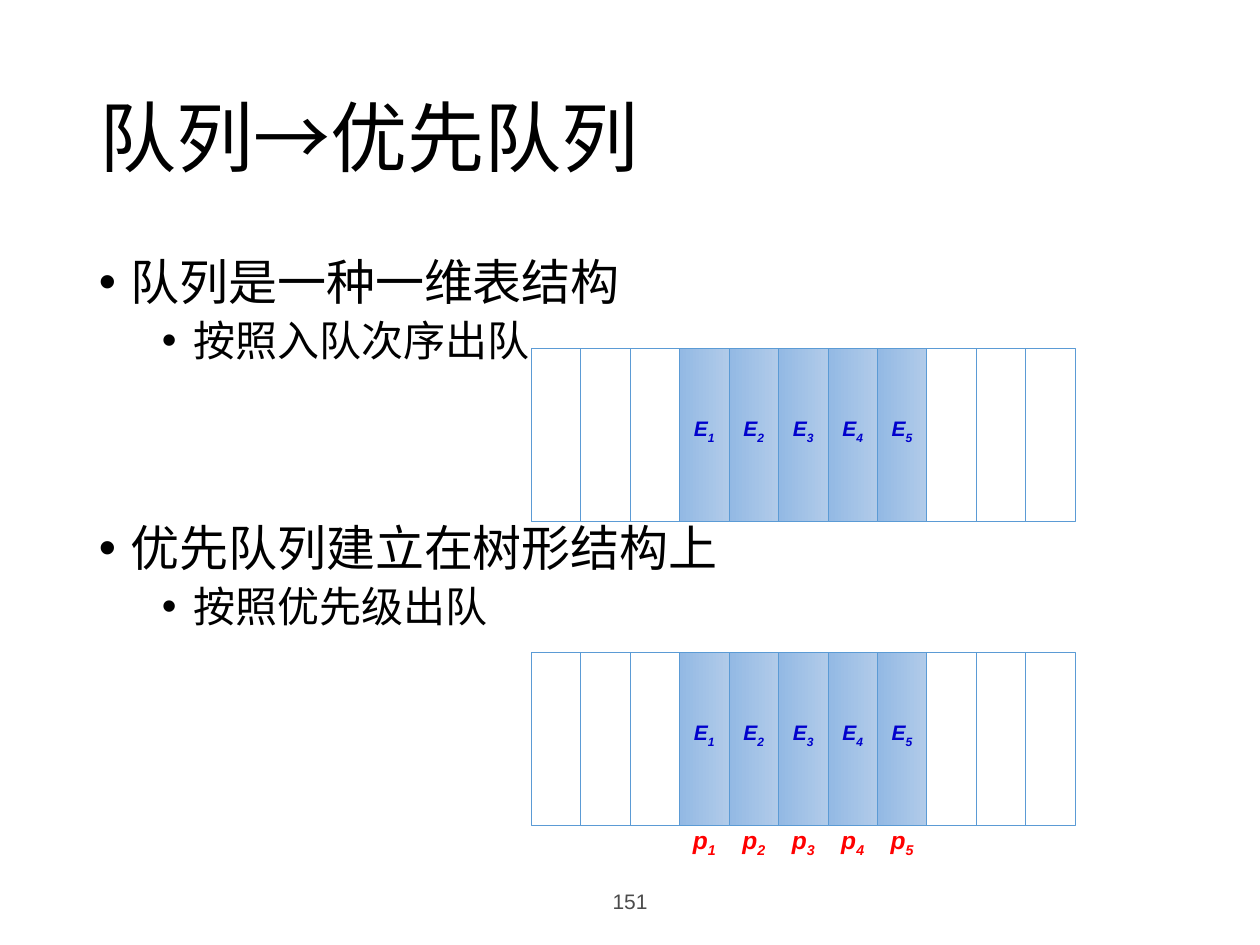
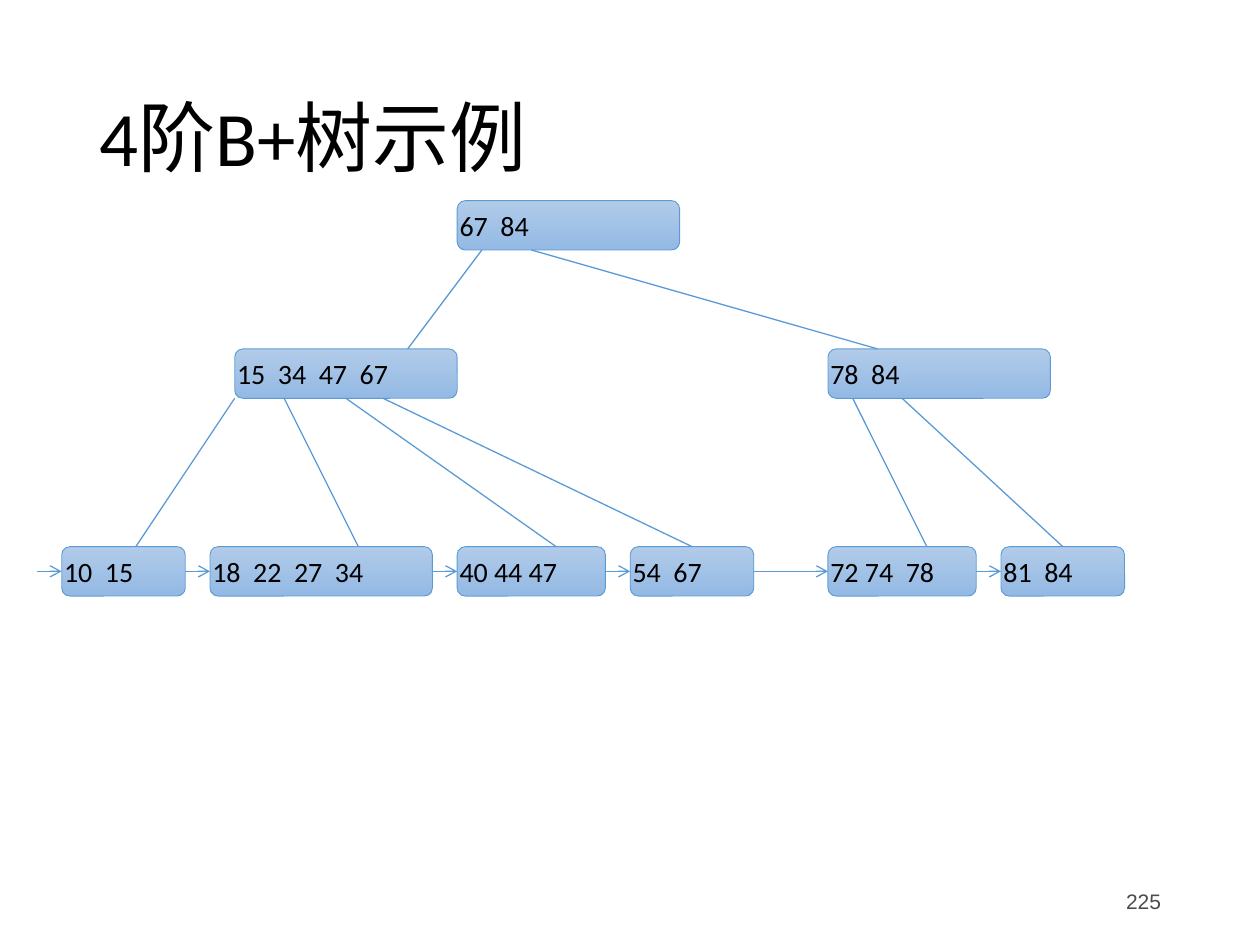
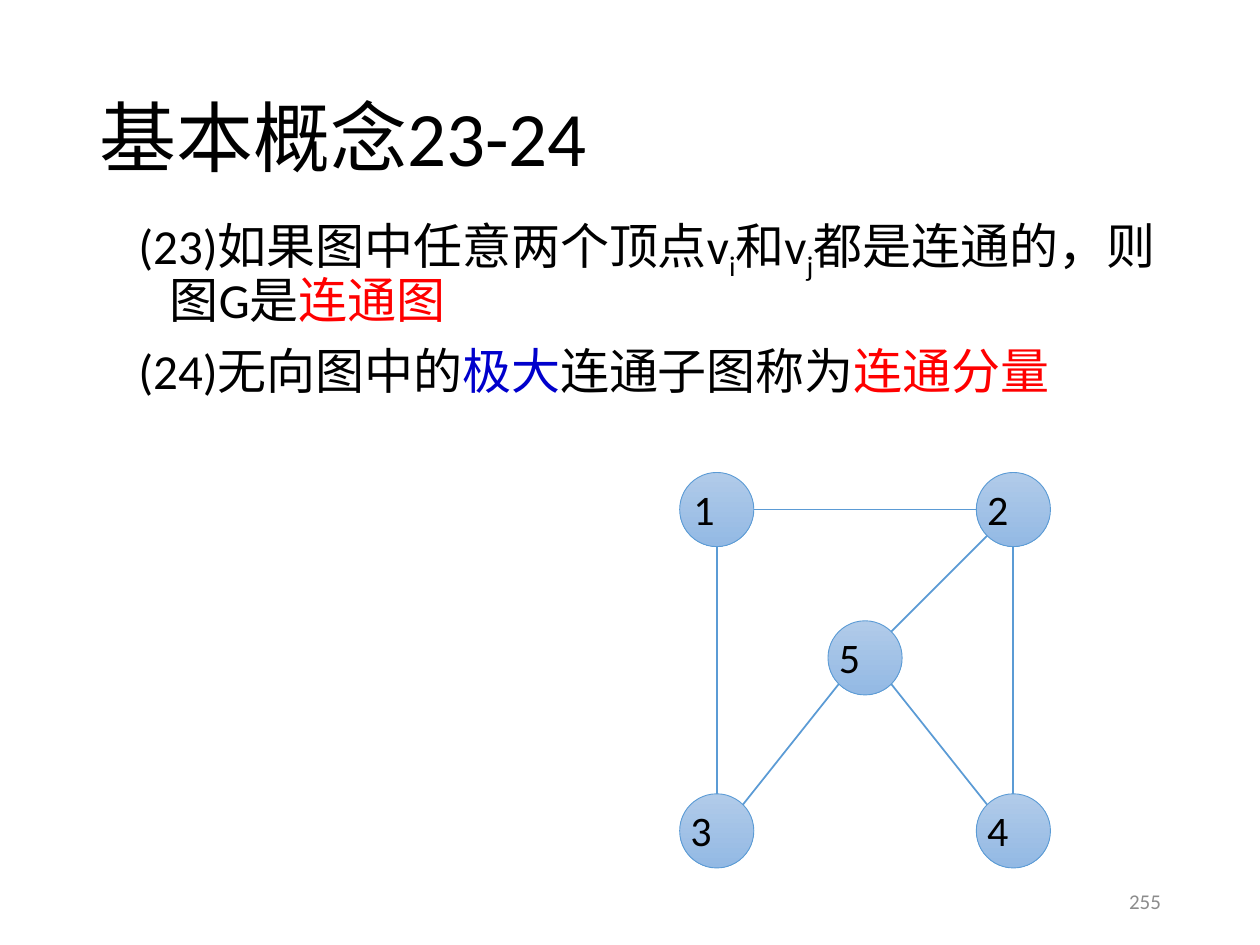
from dataclasses import dataclass
from math import hypot

from lxml import etree
from pptx import Presentation
from pptx.dml.color import RGBColor as Color
from pptx.enum.shapes import MSO_CONNECTOR as Connector, MSO_SHAPE as Preset
from pptx.enum.text import MSO_ANCHOR as Anchor, MSO_AUTO_SIZE as AutoSize, PP_ALIGN as Align
from pptx.oxml.ns import qn
from pptx.util import Pt


@dataclass(frozen=True)
class Theme:
    black: str = "000000"
    red: str = "FF0000"
    blue: str = "0000CC"
    dark_grey: str = "4B4B4B"
    light_grey: str = "8C8C8C"
    outline: str = "5B9BD5"
    gradient: tuple = ("B1CBE9", "93B9E4")
    main_font: str = "Calibri"
    label_font: str = "Arial"
    title: int = 44
    body: int = 28
    sub_body: int = 24
    node: int = 16
    priority: int = 14
    small: int = 12
    line_spacing: float = 0.9
    # Drawings sit on a square grid: one unit, and its origin
    unit: float = 28.25
    left: float = 7
    top: float = 1.6


theme = Theme()


def add_span(para, text, size, color=theme.black, font=theme.main_font, bold=False, lowered=False):
    span = para.add_run()
    span.text = text
    span.font.size = Pt(size)
    span.font.name = font
    span.font.color.rgb = Color.from_string(color)
    if bold:
        span.font.bold = span.font.italic = True
    if lowered:
        span.font._element.set("baseline", "-25000")


def add_block(page, preset, column, row, columns, rows, filled=True):
    block = page.shapes.add_shape(
        preset, Pt(theme.left + column * theme.unit), Pt(theme.top + row * theme.unit),
        Pt(columns * theme.unit), Pt(rows * theme.unit))
    block.shadow.inherit = False
    block.line.color.rgb = Color.from_string(theme.outline)
    block.line.width = Pt(0.5)
    if filled:
        block.fill.gradient()
        block.fill.gradient_angle = 270
        for stop, color in zip(block.fill.gradient_stops, theme.gradient):
            stop.color.rgb = Color.from_string(color)
    else:
        block.fill.background()
    frame = block.text_frame
    frame.word_wrap = True
    frame.margin_left = frame.margin_top = frame.margin_bottom = 0
    frame.margin_right = Pt(14.4)
    frame.paragraphs[0].alignment = Align.LEFT
    return block


deck = Presentation()
deck.slide_width, deck.slide_height = Pt(720), Pt(540)

# Pages with titles and page numbers
headings = [
    ("队列→优先队列", "151", 238.5, 243, Align.CENTER, theme.label_font, theme.dark_grey),
    ("4阶B+树示例", "225", 508.5, 162, Align.RIGHT, theme.label_font, theme.dark_grey),
    ("基本概念23-24", "255", 508.5, 162, Align.RIGHT, theme.main_font, theme.light_grey),
]
pages = []
for heading, number, left, width, align, font, color in headings:
    page = deck.slides.add_slide(deck.slide_layouts[5])
    pages.append(page)
    title = page.shapes.title
    title.left, title.top, title.width, title.height = Pt(49.5), Pt(28.75), Pt(621), Pt(104.5)
    title.text_frame.auto_size = AutoSize.NONE
    title.text_frame.vertical_anchor = Anchor.MIDDLE
    para = title.text_frame.paragraphs[0]
    para.alignment = Align.LEFT
    para.line_spacing = theme.line_spacing
    add_span(para, heading, theme.title)

    box = page.shapes.add_textbox(Pt(left), Pt(500.5), Pt(width), Pt(28.75))
    box.text_frame.word_wrap = True
    box.text_frame.vertical_anchor = Anchor.MIDDLE
    para = box.text_frame.paragraphs[0]
    para.alignment = align
    add_span(para, number, theme.small, color, font)
queue_page, tree_page, graph_page = pages

# Body text: level, bullet, space before, spans of (text, color, lowered)
queue_body = [
    (0, True, 0, [("队列是一种一维表结构", theme.black, False)]),
    (1, True, 5, [("按照入队次序出队", theme.black, False)]),
    (0, True, 91, [("优先队列建立在树形结构上", theme.black, False)]),
    (1, True, 5, [("按照优先级出队", theme.black, False)]),
]
graph_body = [
    (0, False, 0, [
        ("(23)如果图中任意两个顶点v", theme.black, False), ("i", theme.black, True),
        ("和v", theme.black, False), ("j", theme.black, True),
        ("都是连通的，则图G是", theme.black, False), ("连通图", theme.red, False)]),
    (0, False, 10, [
        ("(24)无向图中的", theme.black, False), ("极大", theme.blue, False),
        ("连通子图称为", theme.black, False), ("连通分量", theme.red, False)]),
]
for page, left, top, width, height, body in [
        (queue_page, 49.5, 144, 621, 343, queue_body),
        (graph_page, 72, 120, 598.5, 360, graph_body)]:
    frame = page.shapes.add_textbox(Pt(left), Pt(top), Pt(width), Pt(height)).text_frame
    frame.word_wrap = True
    for index, (level, bullet, space, spans) in enumerate(body):
        para = frame.add_paragraph() if index else frame.paragraphs[0]
        para.level = level
        properties = para._p.get_or_add_pPr()
        properties.set("marL", str(Pt(18 + 36 * level)))
        properties.set("indent", str(Pt(-18)))
        if bullet:
            etree.SubElement(properties, qn("a:buFont")).set("typeface", theme.label_font)
            etree.SubElement(properties, qn("a:buChar")).set("char", "•")
        para.line_spacing = theme.line_spacing
        para.space_before = Pt(space)
        for text, color, lowered in spans:
            add_span(para, text, theme.sub_body if level else theme.body, color, lowered=lowered)

# Queues: upright strips of cells, made of flat cells turned a quarter
first_cell, cell_count, cell_length = 10.5, 11, 3.5
used_cells = range(3, 8)
queue_rows = (7, 13.15)
for row in queue_rows:
    for index in range(cell_count):
        cell = add_block(
            queue_page, Preset.RECTANGLE, first_cell + index + (1 - cell_length) / 2,
            row + (cell_length - 1) / 2, cell_length, 1, index in used_cells)
        cell.rotation = 90

# Element and priority labels
for letter, row, size, color in [
        ("E", queue_rows[0] + 1.23, theme.small, theme.blue),
        ("E", queue_rows[1] + 1.23, theme.small, theme.blue),
        ("p", queue_rows[1] + 3.36, theme.priority, theme.red)]:
    for number, index in enumerate(used_cells, 1):
        box = queue_page.shapes.add_textbox(
            Pt(theme.left + (first_cell + index) * theme.unit),
            Pt(theme.top + row * theme.unit), Pt(theme.unit), Pt(size + 10))
        box.text_frame.word_wrap = True
        box.text_frame.margin_left = box.text_frame.margin_right = 0
        para = box.text_frame.paragraphs[0]
        para.alignment = Align.CENTER
        add_span(para, letter, size, color, theme.label_font, bold=True)
        add_span(para, str(number), size, color, theme.label_font, bold=True, lowered=True)

# B+ tree nodes: keys, column, width
root_row, branch_row, leaf_row = 4, 7, 11
leaves = [
    ("10  15", 1, 2.5), ("18  22  27  34", 4, 4.5), ("40 44 47", 9, 3),
    ("54  67", 12.5, 2.5), ("72 74  78", 16.5, 3), ("81  84", 20, 2.5),
]
levels = [
    (root_row, [("67  84", 9, 4.5)]),
    (branch_row, [("15  34  47  67", 4.5, 4.5), ("78  84", 16.5, 4.5)]),
    (leaf_row, leaves),
]
for row, nodes in levels:
    for keys, column, width in nodes:
        node = add_block(tree_page, Preset.ROUNDED_RECTANGLE, column, row, width, 1)
        node.text_frame.vertical_anchor = Anchor.MIDDLE
        add_span(node.text_frame.paragraphs[0], keys, theme.node)

# Lines of all drawings: page, start, end, line width, arrow
lines = []
for upper, lower, links in [
        (branch_row, leaf_row, [(4.5, 2.5), (5.5, 7), (6.75, 11), (7.5, 13.75),
                                (17, 18.5), (18, 21.25)]),
        (root_row, branch_row, [(10.5, 17.5), (9.5, 8)])]:
    for start, end in links:
        lines.append((tree_page, (start, upper + 1), (end, lower), 0.75, False))
leaf_ends = [0.5] + [column + width for _, column, width in leaves]
for start, (_, end, _) in zip(leaf_ends, leaves):
    lines.append((tree_page, (start, leaf_row + 0.5), (end, leaf_row + 0.5), 0.75, True))

# Graph vertices, by centre
radius = 0.75
vertices = {1: (14.25, 10.25), 2: (20.25, 10.25), 3: (14.25, 16.75),
            4: (20.25, 16.75), 5: (17.25, 13.25)}
for name, (x, y) in vertices.items():
    vertex = add_block(graph_page, Preset.OVAL, x - radius, y - radius, 2 * radius, 2 * radius)
    vertex.text_frame.vertical_anchor = Anchor.TOP
    para = vertex.text_frame.paragraphs[0]
    para.alignment = Align.CENTER if name == 1 else Align.LEFT
    add_span(para, str(name), theme.sub_body)

# Graph edges leave each circle along an axis or at 45 degrees
for first, second in [(1, 2), (1, 3), (4, 2), (5, 3), (5, 2), (5, 4)]:
    (x1, y1), (x2, y2) = vertices[first], vertices[second]
    across = (x2 > x1) - (x2 < x1)
    down = (y2 > y1) - (y2 < y1)
    reach = radius / hypot(across, down)
    lines.append((graph_page, (x1 + across * reach, y1 + down * reach),
                  (x2 - across * reach, y2 - down * reach), 1, False))

for page, (x1, y1), (x2, y2), width, arrow in lines:
    line = page.shapes.add_connector(
        Connector.STRAIGHT,
        Pt(theme.left + x1 * theme.unit), Pt(theme.top + y1 * theme.unit),
        Pt(theme.left + x2 * theme.unit), Pt(theme.top + y2 * theme.unit))
    line.line.color.rgb = Color.from_string(theme.outline)
    line.line.width = Pt(width)
    if arrow:
        etree.SubElement(line.line._get_or_add_ln(), qn("a:tailEnd")).set("type", "arrow")
    etree.SubElement(line._element.spPr, qn("a:effectLst"))

deck.save("out.pptx")
